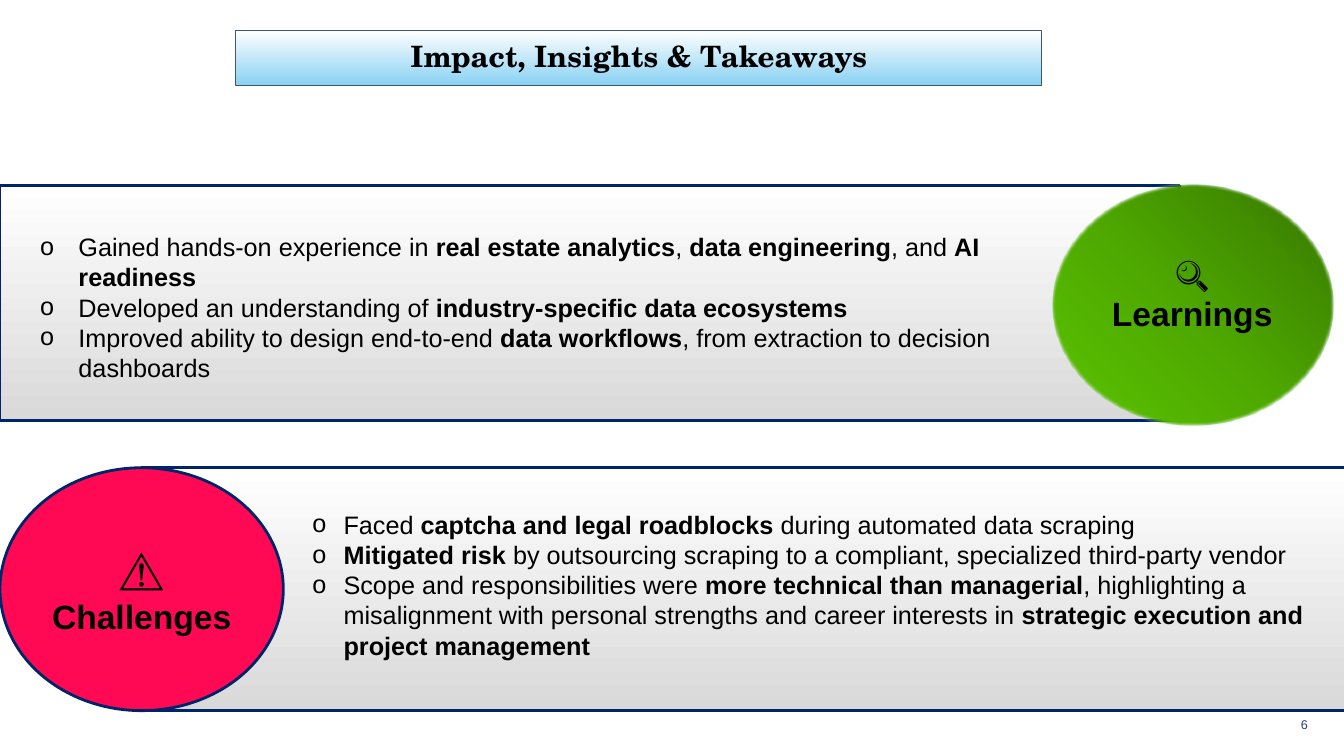
"""Build the slide on impact, insights and takeaways."""
from lxml.etree import SubElement
from pptx import Presentation
from pptx.dml.color import RGBColor
from pptx.enum.shapes import MSO_SHAPE
from pptx.enum.text import MSO_ANCHOR, MSO_AUTO_SIZE, PP_ALIGN
from pptx.oxml import parse_xml
from pptx.oxml.ns import nsdecls, qn
from pptx.util import Inches, Pt


def color(value):
    return RGBColor.from_string(value)


class SlideBuilder:
    """Hold the style and the current slide, and add each kind of element."""

    font = "Arial"
    title_font = "TeX Gyre Schola"
    black = "000000"
    navy = "002468"
    white = "FFFFFF"
    gray = "D9D9D9"

    def __init__(self, presentation):
        self.slide = presentation.slides.add_slide(presentation.slide_layouts[5])

    def add_run(self, paragraph, text, size, bold=False, font=None, fill=None):
        run = paragraph.add_run()
        run.text = text
        run.font.name = font or self.font
        run.font.size = Pt(size)
        run.font.bold = bold
        run.font.color.rgb = color(fill or self.black)

    def set_line(self, shape, line, width):
        shape.line.color.rgb = color(line)
        shape.line.width = Pt(width)

    def set_gradient(self, shape, *stops):
        shape.fill.gradient()
        shape.fill.gradient_angle = 270
        for stop, value in zip(shape.fill.gradient_stops, stops):
            stop.color.rgb = color(value)

    def set_radial(self, shape, *stops):
        shape.fill.background()
        step = 100000 // (len(stops) - 1)
        stop_list = "".join(
            f'<a:gs pos="{index * step}"><a:srgbClr val="{value}"/></a:gs>'
            for index, value in enumerate(stops)
        )
        gradient = parse_xml(
            f'<a:gradFill {nsdecls("a")} rotWithShape="1"><a:gsLst>{stop_list}</a:gsLst>'
            '<a:path path="circle"><a:fillToRect l="100000" b="100000"/></a:path>'
            '<a:tileRect t="-100000" r="-100000"/></a:gradFill>'
        )
        properties = shape.element.spPr
        properties.replace(properties.find(qn("a:noFill")), gradient)

    def soften_edge(self, shape, points):
        effects = shape.element.spPr.find(qn("a:effectLst"))
        SubElement(effects, qn("a:softEdge"), rad=str(Pt(points)))

    def add_title(self, text, left, top, width, height):
        title = self.slide.shapes.title
        title.left, title.top = Inches(left), Inches(top)
        title.width, title.height = Inches(width), Inches(height)
        title.element.spPr.append(parse_xml(
            f'<a:prstGeom {nsdecls("a")} prst="roundRect"><a:avLst/></a:prstGeom>'
        ))
        self.set_gradient(title, self.white, "88D1F3")
        self.set_line(title, "44546A", 0.75)
        frame = title.text_frame
        frame.auto_size = MSO_AUTO_SIZE.NONE
        frame.vertical_anchor = MSO_ANCHOR.MIDDLE
        paragraph = frame.paragraphs[0]
        paragraph.alignment = PP_ALIGN.CENTER
        paragraph.line_spacing = 0.9
        self.add_run(paragraph, text, 21, True, self.title_font)

    def add_shape(self, kind, left, top, width, height, line):
        shape = self.slide.shapes.add_shape(
            kind, Inches(left), Inches(top), Inches(width), Inches(height)
        )
        shape.shadow.inherit = False
        self.set_line(shape, line, 2)
        return shape

    def add_band(self, left, top, width, height):
        band = self.add_shape(MSO_SHAPE.RECTANGLE, left, top, width, height, self.navy)
        self.set_gradient(band, self.white, self.gray)

    def add_badge(self, left, top, icon, icon_size, label, line):
        badge = self.add_shape(MSO_SHAPE.OVAL, left, top, 2.81, 2.41, line)
        frame = badge.text_frame
        frame.word_wrap = True
        frame.vertical_anchor = MSO_ANCHOR.MIDDLE
        paragraph = frame.paragraphs[0]
        paragraph.alignment = PP_ALIGN.CENTER
        self.add_run(paragraph, icon, icon_size, True)
        self.add_run(paragraph, f" {label}", 24, True)
        return badge

    def add_text_box(self, left, top, width, height, anchor):
        box = self.slide.shapes.add_textbox(
            Inches(left), Inches(top), Inches(width), Inches(height)
        )
        box.text_frame.word_wrap = True
        box.text_frame.vertical_anchor = anchor
        return box.text_frame

    def add_bullets(self, frame, indent, items):
        for index, item in enumerate(items):
            paragraph = frame.add_paragraph() if index else frame.paragraphs[0]
            properties = paragraph._p.get_or_add_pPr()
            properties.set("marL", str(Inches(indent)))
            properties.set("indent", str(-Inches(indent)))
            SubElement(properties, qn("a:buFont"), typeface=self.font)
            SubElement(properties, qn("a:buChar"), char="o")
            for text, bold in item:
                self.add_run(paragraph, text, 18, bold)

    def add_page_number(self, text):
        frame = self.add_text_box(12.12, 7.06, 0.95, 0.25, MSO_ANCHOR.MIDDLE)
        frame.paragraphs[0].alignment = PP_ALIGN.RIGHT
        self.add_run(frame.paragraphs[0], text, 9, fill="293D80")


LEARNINGS = [
    [("Gained hands-on experience in ", False), ("real estate analytics", True),
     (", ", False), ("data engineering", True), (", and ", False), ("AI readiness", True)],
    [("Developed an understanding of ", False),
     ("industry-specific data ecosystems", True)],
    [("Improved ability to design end-to-end ", False), ("data workflows", True),
     (", from extraction to decision dashboards", False)],
]
CHALLENGES = [
    [("Faced ", False), ("captcha and legal roadblocks", True),
     (" during automated data scraping", False)],
    [("Mitigated risk", True),
     (" by outsourcing scraping to a compliant, specialized third-party vendor", False)],
    [("Scope and responsibilities were ", False), ("more technical than managerial", True),
     (", highlighting a misalignment with personal strengths and career interests in ", False),
     ("strategic execution and project management", True)],
]


def main():
    presentation = Presentation()
    presentation.slide_width = Inches(13.33)
    presentation.slide_height = Inches(7.5)
    builder = SlideBuilder(presentation)
    builder.add_title("Impact, Insights & Takeaways", 2.34, 0.3, 7.99, 0.55)

    builder.add_band(0, 1.84, 11.7, 2.33)
    frame = builder.add_text_box(0.3, 1.9, 10.59, 2.29, MSO_ANCHOR.MIDDLE)
    builder.add_bullets(frame, 0.38, LEARNINGS)
    badge = builder.add_badge(10.42, 1.82, "🔍", 24, "Learnings", "D6F1FC")
    badge.text_frame.margin_bottom = Inches(0.28)
    builder.set_radial(badge, "367500", "4DA600", "5BC500")
    builder.soften_edge(badge, 2.5)

    builder.add_band(1.4, 4.64, 11.99, 2.41)
    badge = builder.add_badge(0, 4.64, "⚠️", 32, "Challenges", builder.navy)
    badge.fill.solid()
    badge.fill.fore_color.rgb = color("FF0955")
    frame = builder.add_text_box(3, 5, 10.33, 1.75, MSO_ANCHOR.TOP)
    builder.add_bullets(frame, 0.31, CHALLENGES)

    builder.add_page_number("6")
    presentation.save("out.pptx")


if __name__ == "__main__":
    main()
